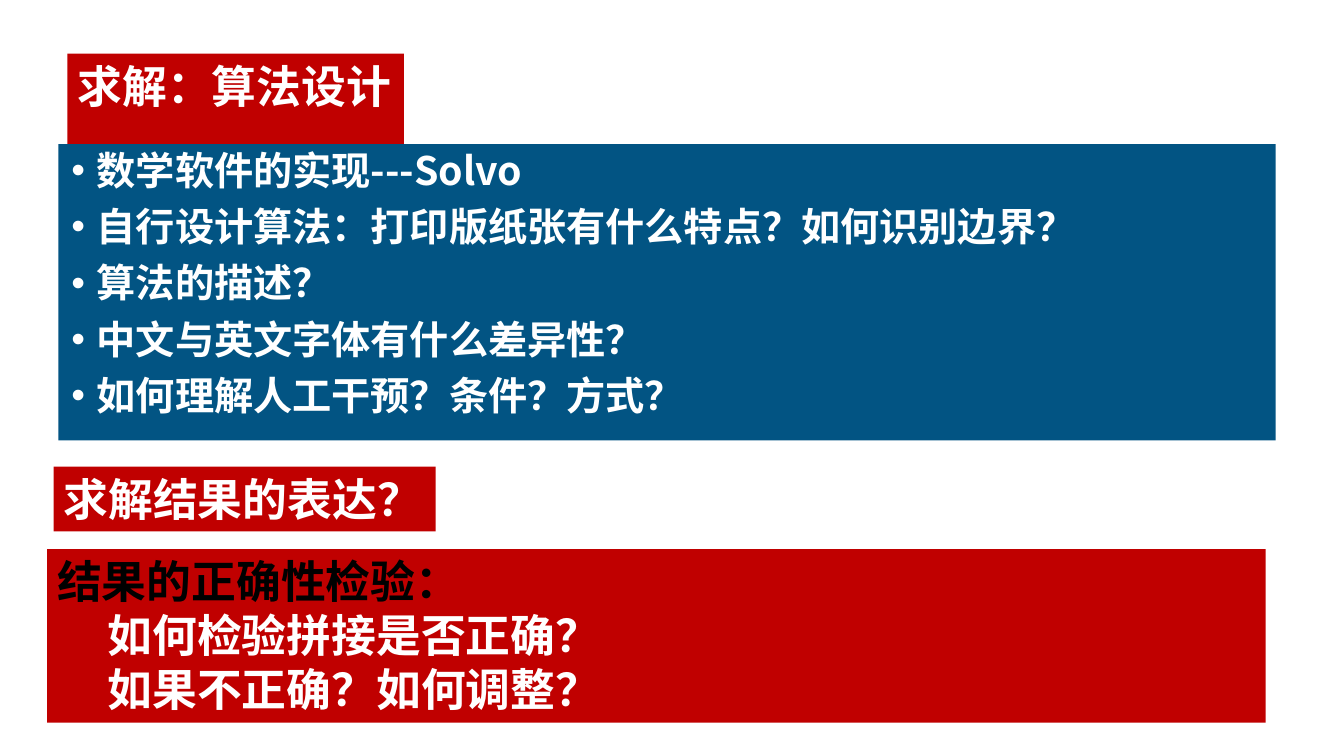
"""Build a slide on algorithm design and checking of results."""
import pptx
import pptx.dml.color
import pptx.enum.text
import pptx.oxml
import pptx.oxml.ns
import pptx.util
from pptx.util import Cm

FONT = "Noto Sans CJK SC"
RED, BLUE, WHITE, BLACK = "C00000", "025483", "FFFFFF", "000000"
QUESTIONS = [
    "数学软件的实现---Solvo",
    "自行设计算法：打印版纸张有什么特点？如何识别边界？",
    "算法的描述？",
    "中文与英文字体有什么差异性？",
    "如何理解人工干预？条件？方式？",
]
CHECKS = ["结果的正确性检验：", "如何检验拼接是否正确？", "如果不正确？如何调整？"]


def color(value):
    """Return the colour for a hex string."""
    return pptx.dml.color.RGBColor.from_string(value)


def place(shape, left, top, width, height, fill):
    """Set the position, size and fill of a shape, in centimetres."""
    shape.left, shape.top = Cm(left), Cm(top)
    shape.width, shape.height = Cm(width), Cm(height)
    shape.fill.solid()
    shape.fill.fore_color.rgb = color(fill)


def format_paragraph(paragraph, size, text_color):
    """Format a left-aligned paragraph in the bold slide font."""
    paragraph.alignment = pptx.enum.text.PP_ALIGN.LEFT
    for run in paragraph.runs:
        run.font.name = FONT
        run.font.size = pptx.util.Pt(size)
        run.font.bold = True
        run.font.color.rgb = color(text_color)
        east_asian = pptx.oxml.parse_xml(
            f'<a:ea {pptx.oxml.ns.nsdecls("a")} typeface="{FONT}"/>')
        run.font._element.find(pptx.oxml.ns.qn("a:latin")).addnext(east_asian)


def indent(paragraph, margin, first_line):
    """Set the left margin and first-line indent, in centimetres."""
    properties = paragraph._p.get_or_add_pPr()
    properties.set("marL", str(Cm(margin)))
    properties.set("indent", str(Cm(first_line)))


def fill_heading(shape, text, left, top, width):
    """Turn a shape into a one-line red heading."""
    place(shape, left, top, width, 1.63, RED)
    frame = shape.text_frame
    frame.text = text
    frame.word_wrap = False
    frame.auto_size = pptx.enum.text.MSO_AUTO_SIZE.SHAPE_TO_FIT_TEXT
    frame.vertical_anchor = pptx.enum.text.MSO_ANCHOR.TOP
    format_paragraph(frame.paragraphs[0], 32, WHITE)


def fill_questions(shape):
    """Write the bulleted questions into the body placeholder."""
    place(shape, 1.47, 3.63, 30.68, 7.47, BLUE)
    frame = shape.text_frame
    frame.text = "\n".join(QUESTIONS)
    frame.auto_size = pptx.enum.text.MSO_AUTO_SIZE.NONE
    frame.margin_left = frame.margin_right = Cm(0.33)
    frame.margin_top = frame.margin_bottom = Cm(0.18)
    for paragraph in frame.paragraphs:
        format_paragraph(paragraph, 28, WHITE)
        indent(paragraph, 0.64, -0.64)
        paragraph.line_spacing = 0.9
        paragraph.space_before = pptx.util.Pt(10)


def add_checks(slide):
    """Add the red box with its black heading and indented questions."""
    shape = slide.shapes.add_textbox(0, 0, 0, 0)
    place(shape, 1.19, 13.84, 30.71, 4.37, RED)
    frame = shape.text_frame
    frame.text = "\n".join(CHECKS)
    frame.word_wrap = True
    frame.auto_size = pptx.enum.text.MSO_AUTO_SIZE.SHAPE_TO_FIT_TEXT
    heading, *questions = frame.paragraphs
    format_paragraph(heading, 32, BLACK)
    for question in questions:
        question.level = 1
        format_paragraph(question, 32, WHITE)
        indent(question, 1.27, 0)


def main():
    """Build and save the presentation."""
    presentation = pptx.Presentation()
    presentation.slide_width, presentation.slide_height = Cm(33.87), Cm(19.05)
    slide = presentation.slides.add_slide(presentation.slide_layouts[1])
    fill_heading(slide.shapes.title, "求解：算法设计", 1.7, 1.35, 8.48)
    fill_questions(slide.placeholders[1])
    result_heading = slide.shapes.add_textbox(0, 0, 0, 0)
    fill_heading(result_heading, "求解结果的表达？", 1.35, 11.76, 9.63)
    add_checks(slide)
    presentation.save("out.pptx")


if __name__ == "__main__":
    main()
